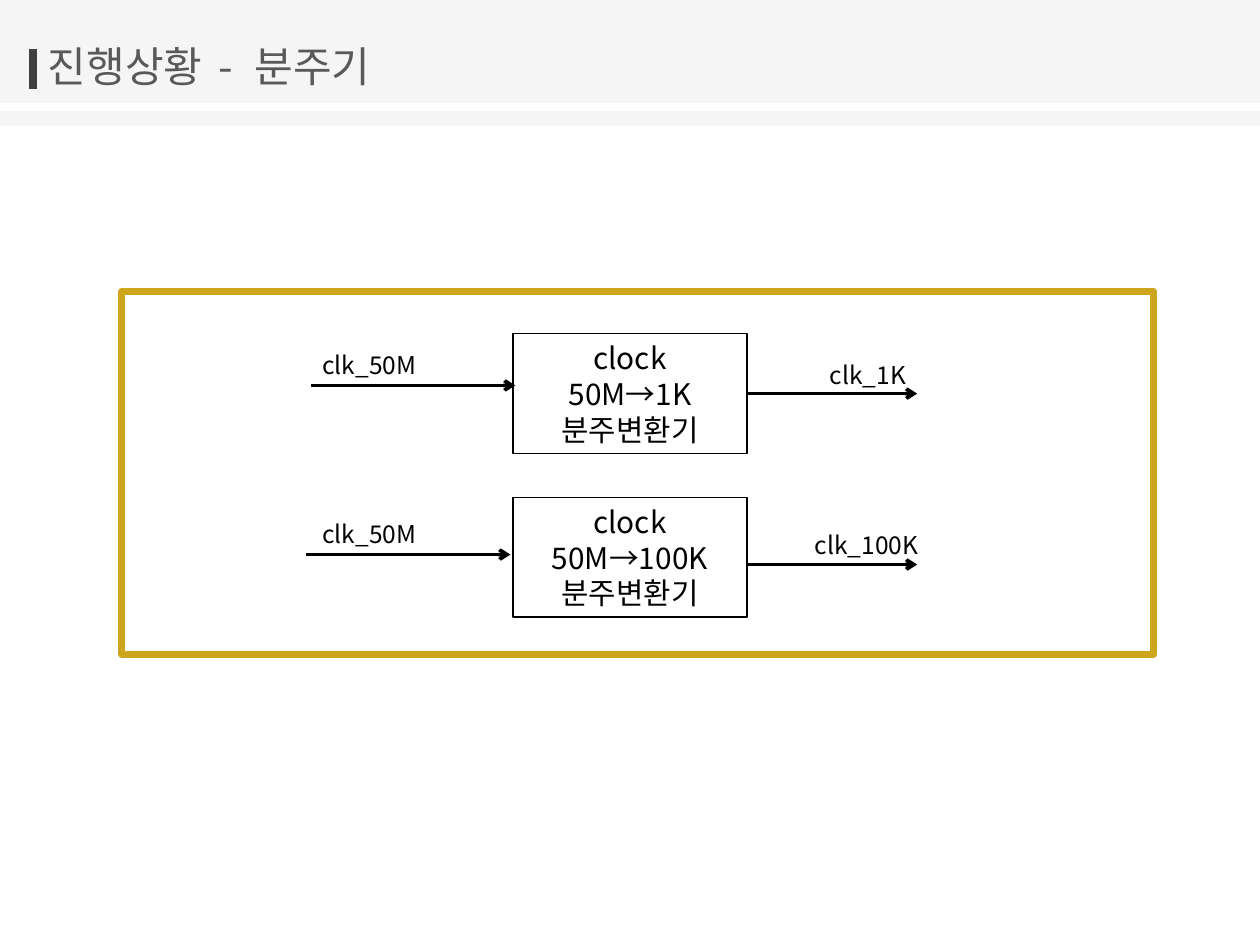
from pptx import Presentation
from pptx.dml.color import RGBColor
from pptx.enum.shapes import MSO_CONNECTOR, MSO_SHAPE
from pptx.enum.text import MSO_ANCHOR, PP_ALIGN
from pptx.oxml.ns import qn
from pptx.util import Cm, Pt
from lxml import etree

STRAIGHT = MSO_CONNECTOR.STRAIGHT
ROUNDED, RECTANGLE = MSO_SHAPE.ROUNDED_RECTANGLE, MSO_SHAPE.RECTANGLE
TOP, MIDDLE = MSO_ANCHOR.TOP, MSO_ANCHOR.MIDDLE
LEFT, CENTER = PP_ALIGN.LEFT, PP_ALIGN.CENTER
RIGHT_SIDE = 3

THEME = {
    "font": "Noto Sans CJK KR",
    "band": "F5F5F5", "white": "FFFFFF", "title": "595959",
    "marker": "404040", "ink": "000000", "frame": "CEA61D",
    "title_size": 24, "box_size": 17, "label_size": 14,
    "line_spacing": 1.2,
}

# Content; positions in centimetres
TITLE = ("진행상황", " - ", "분주기")
TITLE_GAP = 360  # letter spacing around the dash, hundredths of a point
FRAME = (2.46, 5.87, 20.8, 7.32)
BOX_LEFT, BOX_WIDTH, BOX_HEIGHT = 10.34, 4.72, 2.41
OUTPUT_END = 18.49
LABEL_HEIGHT = 0.84
DIVIDERS = [
    {"top": 6.73, "lines": ("clock", "50M→1K", "분주변환기"),
     "input": ("clk_50M", 6.25, 6.93), "input_line": (6.27, 10.39, 7.77),
     "output": ("clk_1K", 16.48, 7.14), "output_y": 7.94},
    {"top": 10.03, "lines": ("clock", "50M→100K", "분주변환기"),
     "input": ("clk_50M", 6.25, 10.34), "input_line": (6.17, 10.29, 11.18),
     "output": ("clk_100K", 16.18, 10.57), "output_y": 11.38},
]


def color(name):
    return RGBColor.from_string(THEME[name])


def set_font(run, size, ink):
    values = {"name": THEME["font"], "size": Pt(THEME[size]), "bold": False}
    for attribute, value in values.items():
        setattr(run.font, attribute, value)
    run.font.color.rgb = color(ink)
    east_asian = etree.SubElement(run.font._element, qn("a:ea"))
    east_asian.set("typeface", THEME["font"])


def write_lines(shape, lines, size, alignment, anchor):
    frame = shape.text_frame
    frame.word_wrap, frame.vertical_anchor = True, anchor
    for index, line in enumerate(lines):
        paragraph = frame.add_paragraph() if index else frame.paragraphs[0]
        paragraph.alignment = alignment
        paragraph.line_spacing = Pt(THEME[size] * THEME["line_spacing"])
        run = paragraph.add_run()
        run.text = line
        set_font(run, size, "ink")


def add_box(slide, kind, bounds, fill=None, line=None, width=0):
    shape = slide.shapes.add_shape(kind, *map(Cm, bounds))
    shape.shadow.inherit = False
    if fill:
        shape.fill.solid()
        shape.fill.fore_color.rgb = color(fill)
    else:
        shape.fill.background()
    if line:
        shape.line.color.rgb = color(line)
        shape.line.width = Pt(width)
    else:
        shape.line.fill.background()
    return shape


def add_line(slide, ends, ink, width, arrow=False):
    line = slide.shapes.add_connector(STRAIGHT, *map(Cm, ends))
    line.line.color.rgb = color(ink)
    line.line.width = Pt(width)
    if arrow:
        etree.SubElement(line.line._get_or_add_ln(), qn("a:tailEnd")).set("type", "arrow")
    etree.SubElement(line._element.spPr, qn("a:effectLst"))
    return line


def add_label(slide, text, left, top):
    label = slide.shapes.add_textbox(Cm(left), Cm(top), Cm(2.7), Cm(LABEL_HEIGHT))
    write_lines(label, [text], "label_size", LEFT, TOP)


def add_header(slide):
    band = add_box(slide, ROUNDED, (0, 0, 25.4, 2.54), fill="band")
    band.adjustments[0] = 0
    add_line(slide, (0, 2.16, 25.4, 2.16), "white", 4.25)
    title = slide.shapes.title
    slide.shapes._spTree.append(title._element)  # bring in front of the band
    places = {"left": 0.71, "top": 0.71, "width": 7.65, "height": 1.24}
    for attribute, value in places.items():
        setattr(title, attribute, Cm(value))
    frame = title.text_frame
    frame.word_wrap, frame.vertical_anchor = False, MIDDLE
    paragraph = frame.paragraphs[0]
    paragraph.alignment = LEFT
    for text in TITLE:
        run = paragraph.add_run()
        run.text = text
        set_font(run, "title_size", "title")
        if text == " - ":
            run.font._element.set("spc", str(TITLE_GAP))
    add_line(slide, (0.66, 0.99, 0.66, 1.8), "marker", 4.75)


def add_divider(slide, divider):
    top = divider["top"]
    box = add_box(slide, RECTANGLE, (BOX_LEFT, top, BOX_WIDTH, BOX_HEIGHT),
                  line="ink", width=0.75)
    write_lines(box, divider["lines"], "box_size", CENTER, TOP)
    for side in ("input", "output"):
        add_label(slide, *divider[side])

    start, end, y = divider["input_line"]
    add_line(slide, (start, y, end, y), "ink", 2, arrow=True)

    # The output line is joined where it leaves from the middle of the side
    y, middle = divider["output_y"], top + BOX_HEIGHT / 2
    joined = abs(y - middle) < 0.05
    y = middle if joined else y
    output = add_line(slide, (BOX_LEFT + BOX_WIDTH, y, OUTPUT_END, y), "ink", 2, arrow=True)
    if joined:
        output.begin_connect(box, RIGHT_SIDE)


def main():
    presentation = Presentation()
    presentation.slide_width, presentation.slide_height = Cm(25.4), Cm(19.05)
    slide = presentation.slides.add_slide(presentation.slide_layouts[5])
    add_header(slide)
    add_box(slide, RECTANGLE, FRAME, line="frame", width=4)
    for divider in DIVIDERS:
        add_divider(slide, divider)
    presentation.save("out.pptx")


if __name__ == "__main__":
    main()
